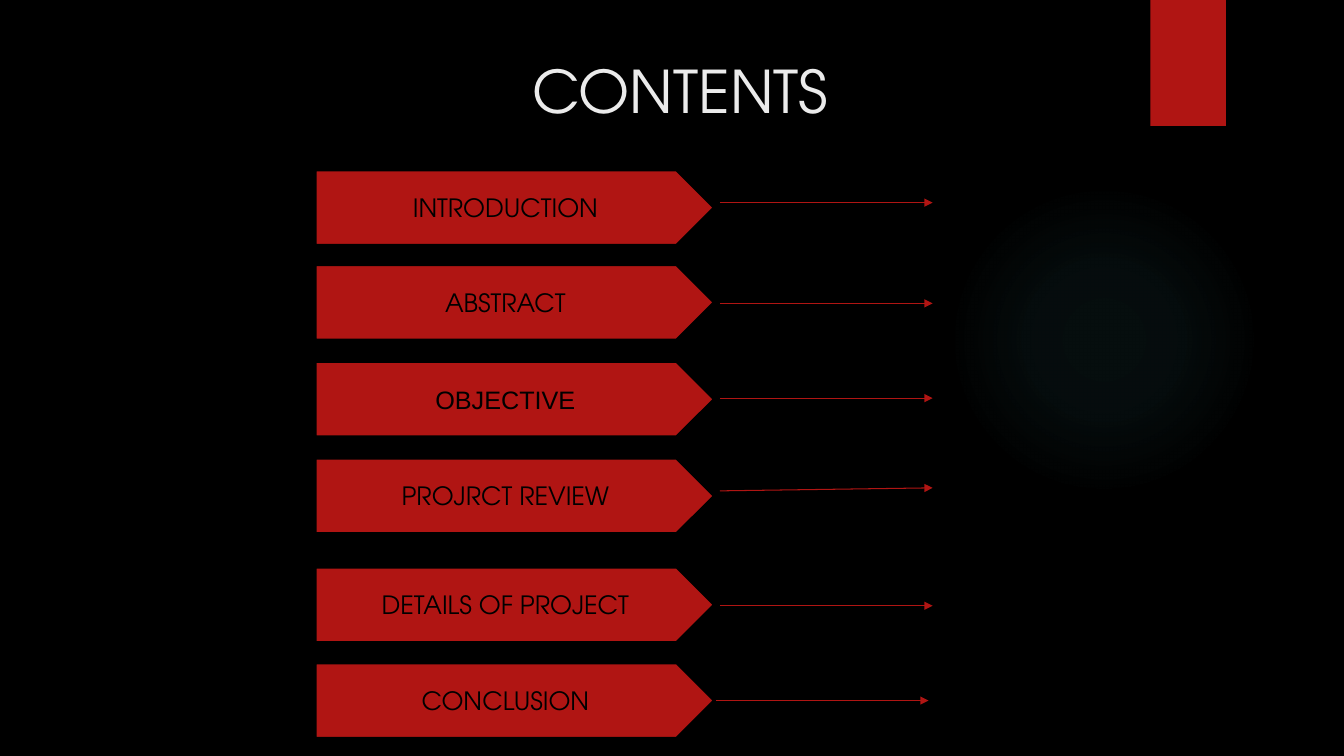
from lxml.etree import SubElement
from pptx import Presentation
from pptx.dml.color import RGBColor
from pptx.enum.shapes import MSO_CONNECTOR, MSO_SHAPE
from pptx.enum.text import MSO_ANCHOR, PP_ALIGN
from pptx.oxml import parse_xml
from pptx.oxml.ns import nsdecls, qn
from pptx.util import Inches, Pt

# Content: label, font, top of the banner, arrow start and end heights
HEADING = "CONTENTS"
DISPLAY, PLAIN = "TeX Gyre Adventor", "Arial"
TOPICS = [
    ("INTRODUCTION", DISPLAY, 1.69, 2.01, 2.01),
    ("ABSTRACT", DISPLAY, 2.63, 3.01, 3.01),
    ("OBJECTIVE", PLAIN, 3.59, 3.95, 3.95),
    ("PROJRCT REVIEW", DISPLAY, 4.55, 4.87, 4.84),
    ("DETAILS OF PROJECT", DISPLAY, 5.63, 6.01, 6.01),
    ("CONCLUSION", DISPLAY, 6.58, 6.95, 6.95),
]

# Colours
BLACK = RGBColor(0x00, 0x00, 0x00)
RED = RGBColor(0xB0, 0x15, 0x13)
PALE = RGBColor(0xEB, 0xEB, 0xEB)
TEAL = RGBColor(0x50, 0xB9, 0xC1)

# Layout in inches
WIDTH, HEIGHT = 13.33, 7.5
BANNER_LEFT, BANNER_WIDTH, BANNER_HEIGHT = 3.13, 3.95, 0.74
ARROW_LEFT, LAST_ARROW_LEFT, ARROW_LENGTH = 7.14, 7.1, 2.11
GLOW_STOPS = [(0, 7), (36, 6), (69, 0)]  # position and opacity, percent


def write(shape, text, font=DISPLAY, size=18, color=BLACK, anchor=MSO_ANCHOR.MIDDLE):
    frame = shape.text_frame
    frame.word_wrap = True
    frame.vertical_anchor = anchor
    para = frame.paragraphs[0]
    para.alignment = PP_ALIGN.CENTER
    span = para.add_run()
    span.text = text
    span.font.name = font
    span.font.size = Pt(size)
    span.font.color.rgb = color


def add_block(page, kind, left, top, width, height, color=RED):
    block = page.shapes.add_shape(
        kind, Inches(left), Inches(top), Inches(width), Inches(height))
    block.shadow.inherit = False
    block.fill.solid()
    block.fill.fore_color.rgb = color
    block.line.fill.background()
    return block


def add_glow(page):
    glow = add_block(page, MSO_SHAPE.OVAL, 9.41, 1.83, 3.08, 3.08, TEAL)
    stops = "".join(
        f'<a:gs pos="{place * 1000}"><a:srgbClr val="{TEAL}">'
        f'<a:alpha val="{opacity * 1000}"/></a:srgbClr></a:gs>'
        for place, opacity in GLOW_STOPS)
    gradient = parse_xml(
        f'<a:gradFill {nsdecls("a")}><a:gsLst>{stops}</a:gsLst><a:path path="circle">'
        '<a:fillToRect l="50000" t="50000" r="50000" b="50000"/></a:path></a:gradFill>')
    properties = glow.element.spPr
    properties.replace(properties.find(qn("a:solidFill")), gradient)


def add_arrow(page, left, start, end):
    arrow = page.shapes.add_connector(
        MSO_CONNECTOR.STRAIGHT, Inches(left), Inches(start),
        Inches(left + ARROW_LENGTH), Inches(end))
    arrow.line.color.rgb = RED
    arrow.line.width = Pt(0.75)
    properties = arrow.element.spPr
    SubElement(properties.find(qn("a:ln")), qn("a:tailEnd"), type="triangle")
    SubElement(properties, qn("a:effectLst"))


def main():
    deck = Presentation()
    deck.slide_width, deck.slide_height = Inches(WIDTH), Inches(HEIGHT)
    page = deck.slides.add_slide(deck.slide_layouts[5])

    # Backdrop: black page, soft glow, red tab
    page.background.fill.solid()
    page.background.fill.fore_color.rgb = BLACK
    add_glow(page)
    add_block(page, MSO_SHAPE.RECTANGLE, 11.41, 0, 0.75, 1.25)

    # Title
    title = page.shapes.title
    title.left, title.top = Inches(1.05), Inches(0.49)
    title.width, title.height = Inches(11.39), Inches(1.17)
    write(title, HEADING, size=42, color=PALE, anchor=MSO_ANCHOR.TOP)

    # Topic banners, each with its arrow
    for label, font, top, start, end in TOPICS:
        banner = add_block(page, MSO_SHAPE.PENTAGON, BANNER_LEFT, top,
                           BANNER_WIDTH, BANNER_HEIGHT)
        banner.line.color.rgb = BLACK
        banner.line.width = Pt(1.5)
        write(banner, label, font=font)
        last = label == TOPICS[-1][0]
        add_arrow(page, LAST_ARROW_LEFT if last else ARROW_LEFT, start, end)

    deck.save("out.pptx")


if __name__ == "__main__":
    main()
